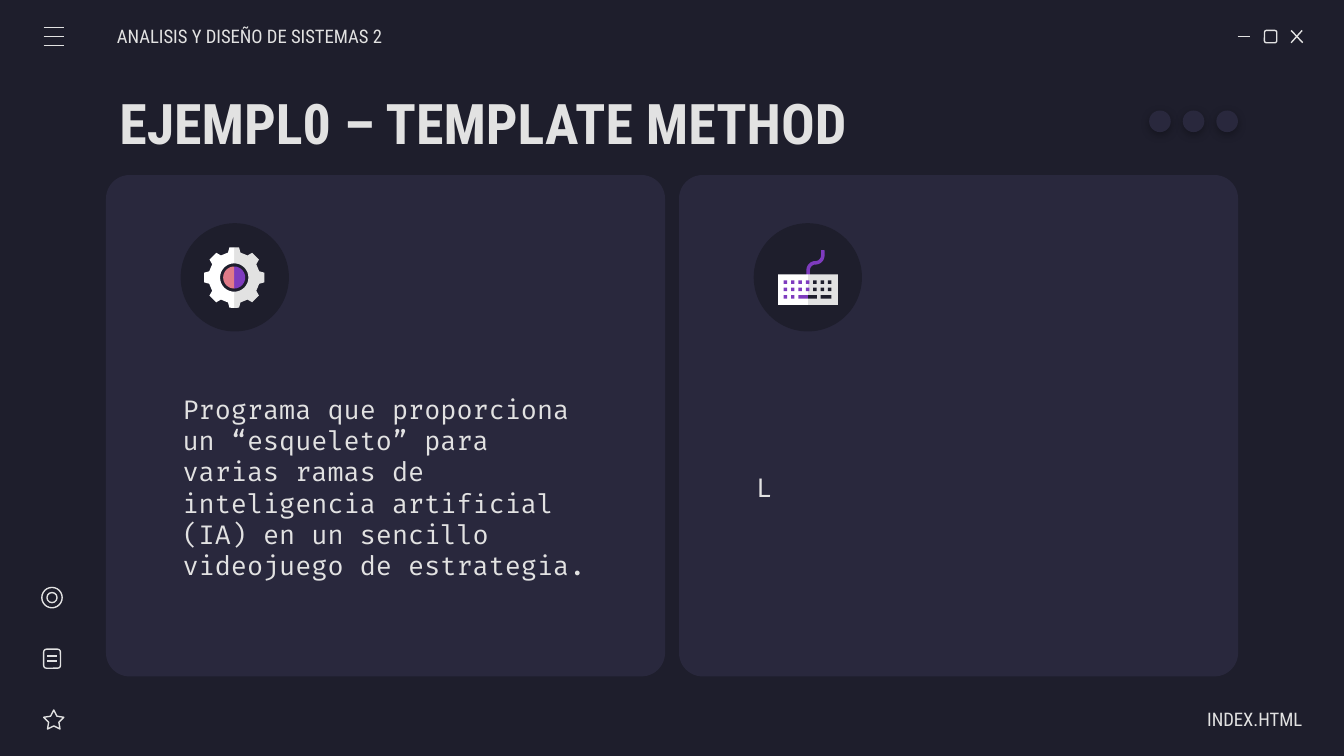
import math
from dataclasses import dataclass

import pptx
import pptx.dml.color
import pptx.enum.shapes
import pptx.enum.text
import pptx.oxml
import pptx.util
from pptx.oxml.ns import nsdecls

Pt = pptx.util.Pt
Kind = pptx.enum.shapes.MSO_SHAPE
Align = pptx.enum.text.PP_ALIGN
Point = tuple[float, float]

NIGHT, PANEL, LIGHT = "1E1E2C", "29283D", "E2E2E2"
WHITE, PURPLE, CORAL = "FFFFFF", "7E3BBE", "E07A88"
CONDENSED, MONO = "Roboto Condensed", "Fira Code"
INSET = 7.2


@dataclass
class Box:
    left: float
    top: float
    width: float
    height: float


@dataclass
class Label:
    text: str
    box: Box
    size: float
    font: str
    bold: bool = False
    align: Align = Align.LEFT
    left_inset: float = INSET
    right_inset: float = INSET


@dataclass
class Stroke:
    x1: float
    y1: float
    x2: float
    y2: float


@dataclass
class Outline:
    kind: Kind
    box: Box
    adjustment: float | None = None


def color(value: str) -> pptx.dml.color.RGBColor:
    return pptx.dml.color.RGBColor.from_string(value)


def paint(shape, fill: str) -> None:
    shape.shadow.inherit = False
    shape.fill.solid()
    shape.fill.fore_color.rgb = color(fill)
    shape.line.fill.background()


def add_solid(page, kind: Kind, box: Box, fill: str):
    shape = page.shapes.add_shape(
        kind, Pt(box.left), Pt(box.top), Pt(box.width), Pt(box.height))
    paint(shape, fill)
    return shape


def add_outline(page, outline: Outline) -> None:
    shape = add_solid(page, outline.kind, outline.box, NIGHT)
    shape.fill.background()
    shape.line.color.rgb = color(LIGHT)
    shape.line.width = Pt(0.75)
    if outline.adjustment is not None:
        shape.adjustments[0] = outline.adjustment


def add_stroke(page, stroke: Stroke) -> None:
    line = page.shapes.add_connector(
        pptx.enum.shapes.MSO_CONNECTOR.STRAIGHT,
        Pt(stroke.x1), Pt(stroke.y1), Pt(stroke.x2), Pt(stroke.y2))
    line.line.color.rgb = color(LIGHT)
    line.line.width = Pt(0.75)
    line._element.spPr.append(
        pptx.oxml.parse_xml(f"<a:effectLst {nsdecls('a')}/>"))


def add_label(page, label: Label) -> None:
    box = label.box
    frame = page.shapes.add_textbox(
        Pt(box.left), Pt(box.top), Pt(box.width), Pt(box.height)).text_frame
    frame.word_wrap = True
    frame.vertical_anchor = pptx.enum.text.MSO_ANCHOR.MIDDLE
    frame.margin_top = frame.margin_bottom = Pt(INSET)
    frame.margin_left = Pt(label.left_inset)
    frame.margin_right = Pt(label.right_inset)
    para = frame.paragraphs[0]
    para.text = label.text
    para.alignment = label.align
    para.font.name = label.font
    para.font.size = Pt(label.size)
    para.font.bold = label.bold
    para.font.color.rgb = color(LIGHT)


def add_polygon(page, points: list[Point], fill: str) -> None:
    corners = [(Pt(x), Pt(y)) for x, y in points]
    builder = page.shapes.build_freeform(*corners[0])
    builder.add_line_segments(corners[1:], close=True)
    paint(builder.convert_to_shape(), fill)


def polar(center: Point, radius: float, degrees: float) -> Point:
    angle = math.radians(degrees)
    return center[0] + radius * math.cos(angle), center[1] + radius * math.sin(angle)


def arc(center: Point, radius: float, start: float, end: float) -> list[Point]:
    steps = 16
    return [polar(center, radius, start + (end - start) * i / steps)
            for i in range(steps + 1)]


def add_gear(page, center: Point) -> None:
    """Draw a gear of eight teeth in two halves, each with half a hub."""
    for start, body, hub in ((-90, LIGHT, PURPLE), (90, WHITE, CORAL)):
        end = start + 180
        rim = [polar(center, 16.2, start)]
        for tooth in range(start, end + 1, 45):
            for offset, radius in ((-14, 13.8), (-9, 16.4), (9, 16.4), (14, 13.8)):
                if start < tooth + offset < end:
                    rim.append(polar(center, radius, tooth + offset))
        rim.append(polar(center, 16.2, end))
        add_polygon(page, arc(center, 5.9, start, end), hub)
        add_polygon(page, rim + arc(center, 7.6, end, start), body)


def add_keyboard(page) -> None:
    left, middle, top = 416.9, 432.9, 147
    bend_x, bend, half = 436.9, 3.9, 0.95
    lower, upper = (bend_x, 144.7), (bend_x, 136.9)
    cable = [(bend_x - bend - half, 149), *arc(lower, bend + half, 180, 270),
             *arc(upper, bend - half, 90, 0), (bend_x + bend - half, 134),
             (bend_x + bend + half, 134), *arc(upper, bend + half, 0, 90),
             *arc(lower, bend - half, 270, 180), (bend_x - bend + half, 149)]
    add_polygon(page, cable, PURPLE)
    for x, fill in ((middle, LIGHT), (left, WHITE)):
        add_solid(page, Kind.RECTANGLE, Box(x, top, 16, 16.3), fill)

    key, pitch, first = 1.9, 3.96, left + 2.9
    keys = [(first + column * pitch, row, key)
            for row in range(3) for column in range(7 if row < 2 else 2)]
    keys += [(first + 2 * pitch, 2, 5.1), (middle, 2, 4.8),
             (first + 5 * pitch, 2, pitch + key)]
    for x, row, width in keys:
        box = Box(x, top + 3.2 + row * pitch, width, key)
        add_solid(page, Kind.RECTANGLE, box, PURPLE if x < middle - 1 else NIGHT)


def add_dot(page, left: float) -> None:
    """Draw one raised dot with a soft shadow below it."""
    dot = add_solid(page, Kind.OVAL, Box(left, 59.2, 11.6, 11.6), PANEL)
    dot._element.spPr.find(pptx.oxml.ns.qn("a:effectLst")).append(
        pptx.oxml.parse_xml(
            f'<a:outerShdw {nsdecls("a")} blurRad="{Pt(4.5)}" dist="{Pt(1.5)}" '
            'dir="5400000" algn="bl" rotWithShape="0"><a:srgbClr val="000000">'
            '<a:alpha val="30000"/></a:srgbClr></a:outerShdw>'))


STROKES = [
    *(Stroke(23.4, 14.8 + 4.8 * i, 34.2, 14.8 + 4.8 * i) for i in range(3)),
    Stroke(663, 19.6, 669.7, 19.6),
    Stroke(691.7, 16.3, 697.9, 22.9),
    Stroke(697.6, 16.3, 691.7, 22.9),
    *(Stroke(25.3, y, 30.5, y) for y in (351.5, 354.2)),
]
OUTLINES = [
    Outline(Kind.ROUNDED_RECTANGLE, Box(677.4, 16.3, 6.6, 6.6)),
    Outline(Kind.OVAL, Box(22.4, 314.7, 10.9, 10.9)),
    Outline(Kind.OVAL, Box(25.15, 317.45, 5.4, 5.4)),
    Outline(Kind.ROUNDED_RECTANGLE, Box(23.4, 347.8, 9, 10.2)),
    Outline(Kind.STAR_5_POINT, Box(23.4, 380.4, 10.8, 10.2), 0.254),
]
LABELS = [
    Label("ANALISIS Y DISEÑO DE SISTEMAS 2", Box(62.7, 8.7, 194.4, 21.6),
          10, CONDENSED, left_inset=0),
    Label("EJEMPL0 – TEMPLATE METHOD", Box(56.9, 42.5, 607, 45.4),
          30, CONDENSED, bold=True),
    Label("Programa que proporciona un “esqueleto” para varias ramas de "
          "inteligencia artificial (IA) en un sencillo videojuego de estrategia.",
          Box(90.7, 190.4, 231.8, 141.1), 14, MONO),
    Label("L", Box(397.8, 190.4, 231.8, 141.1), 14, MONO),
    Label("INDEX.HTML", Box(613.4, 374.4, 84.2, 21.6), 10, CONDENSED,
          align=Align.RIGHT, right_inset=0),
]


def main() -> None:
    deck = pptx.Presentation()
    deck.slide_width, deck.slide_height = Pt(720), Pt(405)
    page = deck.slides.add_slide(deck.slide_layouts[6])
    page.background.fill.solid()
    page.background.fill.fore_color.rgb = color(NIGHT)

    for left in (56.8, 363.8):
        card = add_solid(page, Kind.ROUNDED_RECTANGLE,
                         Box(left, 93.8, 299.5, 268.6), PANEL)
        card.adjustments[0] = 0.047
        add_solid(page, Kind.OVAL, Box(left + 40, 119.6, 58, 58), NIGHT)
    add_gear(page, (125.5, 148.7))
    add_keyboard(page)

    for stroke in STROKES:
        add_stroke(page, stroke)
    for outline in OUTLINES:
        add_outline(page, outline)
    for i in range(3):
        add_dot(page, 615.6 + 18 * i)
    for label in LABELS:
        add_label(page, label)
    deck.save("out.pptx")


if __name__ == "__main__":
    main()
